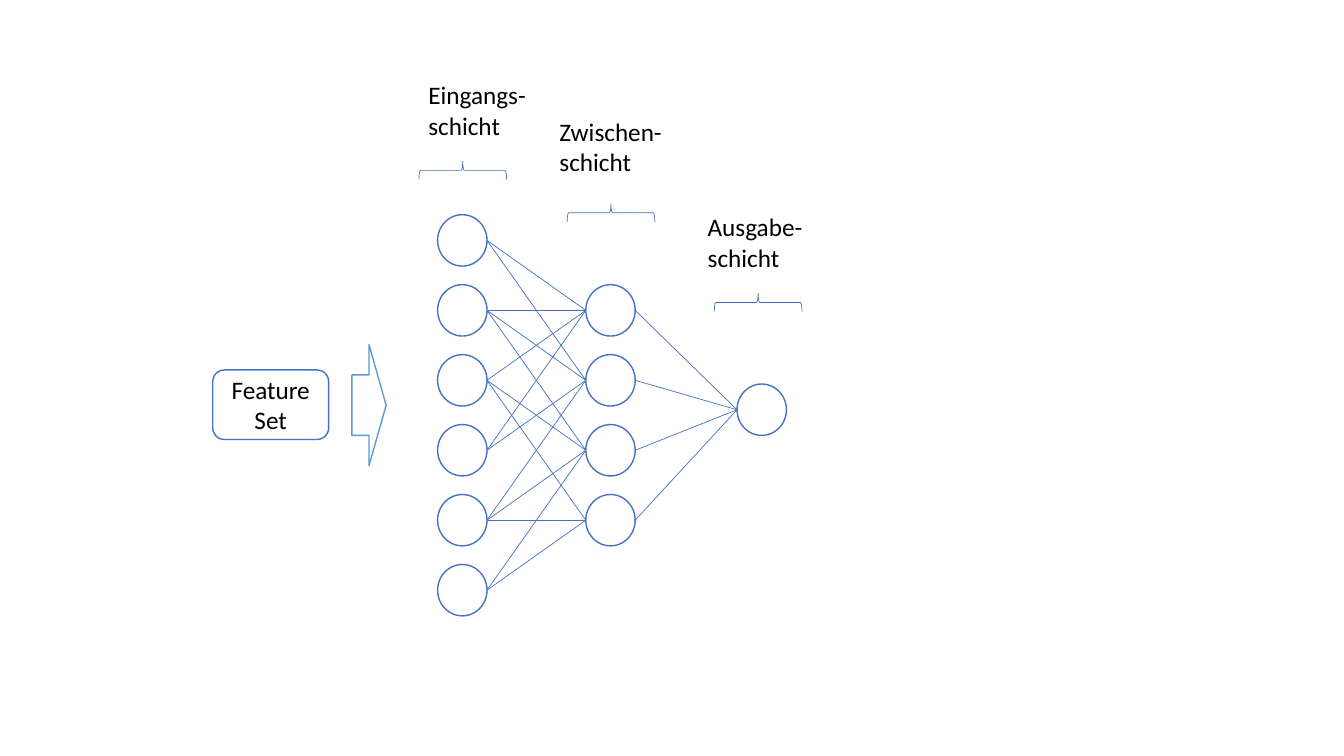
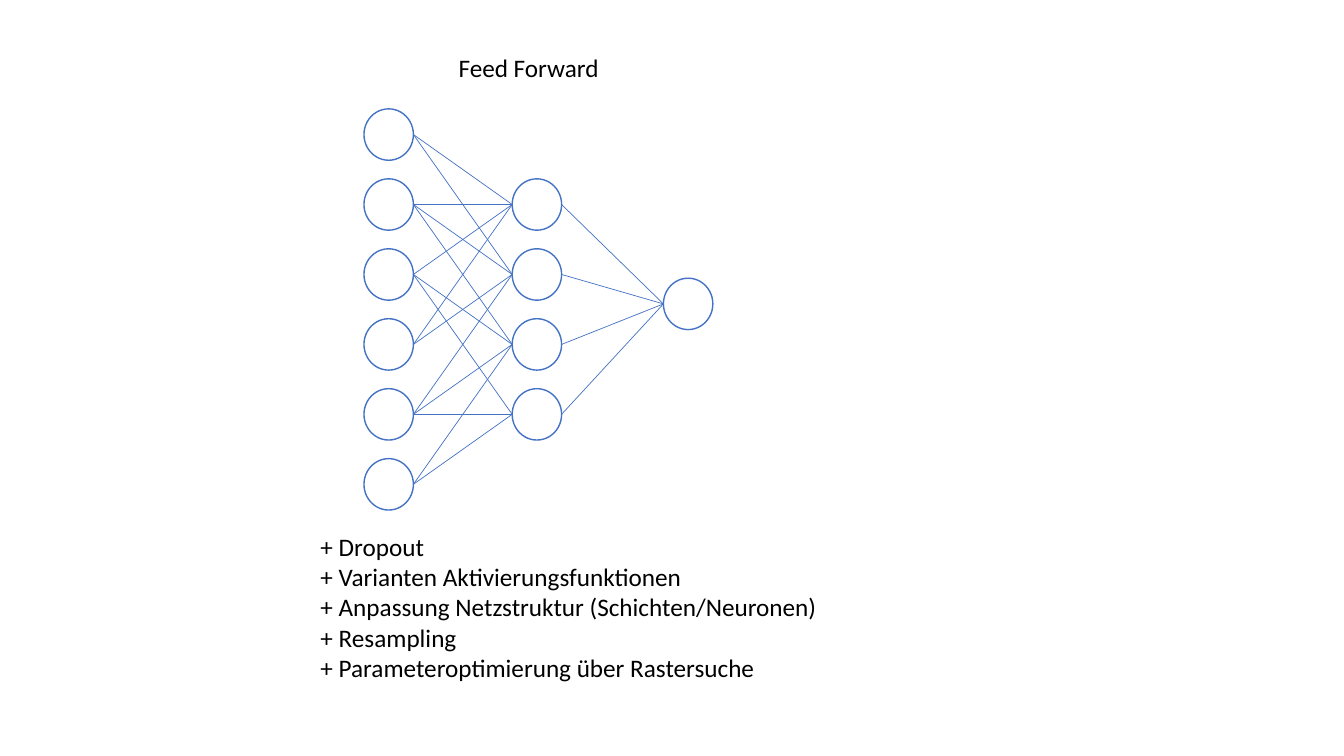
from lxml import etree
from pptx import Presentation
from pptx import util as u
from pptx.dml.color import RGBColor
from pptx.enum import shapes, text
from pptx.oxml.ns import qn

PX = 9144  # EMU per px, 100 px to the inch
BLUE = RGBColor(0x44, 0x72, 0xC4)
LIGHT_BLUE = RGBColor(0x5B, 0x9B, 0xD5)
WHITE = RGBColor(0xFF, 0xFF, 0xFF)
BLACK = RGBColor(0, 0, 0)
FONT, SIZE = "Calibri", 18

# Network geometry, relative to its top left corner
NODE_W, NODE_H = 49, 51
INPUTS, HIDDEN = 6, 4
INPUT_SPAN = 347  # from the first input node to the last
HIDDEN_X, OUTPUT_X, OUTPUT_Y = 147, 297, 168
# Hidden nodes that each input node feeds
INPUT_LINKS = ((0, 1), (0, 1, 2), (0, 2, 3), (0, 1), (1, 2, 3), (2, 3))

# Layer captions: box, lines, centre and top of the brace below
LAYERS = (
    ((415, 74, 138, 71), ("Eingangs-", "schicht"), 459, 160),
    ((545, 110, 138, 71), ("Zwischen-schicht",), 606, 202),
    ((692, 205, 128, 71), ("Ausgabe-schicht",), 752, 291),
)
BRACE_W, BRACE_H = 87, 18

EXTENSIONS = (
    "+ Dropout",
    "+ Varianten Aktivierungsfunktionen",
    "+ Anpassung Netzstruktur (Schichten/Neuronen)",
    "+ Resampling",
    "+ Parameteroptimierung über Rastersuche",
)


def emu(*lengths):
    return [u.Emu(round(v * PX)) for v in lengths]


def write(sp, *lines, align=text.PP_ALIGN.LEFT, anchor=text.MSO_ANCHOR.TOP):
    tf = sp.text_frame
    tf.word_wrap = True
    tf.vertical_anchor = anchor
    for i, line in enumerate(lines):
        p = tf.paragraphs[0] if i == 0 else tf.add_paragraph()
        p.alignment = align
        r = p.add_run()
        r.text = line
        r.font.name, r.font.size = FONT, u.Pt(SIZE)
        r.font.color.rgb = BLACK


def add_text(s, box, *lines):
    sp = s.shapes.add_textbox(*emu(*box))
    write(sp, *lines)
    sp.text_frame.auto_size = text.MSO_AUTO_SIZE.SHAPE_TO_FIT_TEXT


def add_outline(s, kind, box, line=BLUE, width=1, fill=None):
    sp = s.shapes.add_shape(kind, *emu(*box))
    sp.shadow.inherit = False
    if fill is None:
        sp.fill.background()
    else:
        sp.fill.solid()
        sp.fill.fore_color.rgb = fill
    sp.line.color.rgb = line
    sp.line.width = u.Pt(width)
    return sp


def add_link(s, start, end):
    """Line from the right side of one node to the left side of another."""
    (x1, y1), (x2, y2) = start, end
    mid = NODE_H / 2
    cxn = s.shapes.add_connector(
        shapes.MSO_CONNECTOR.STRAIGHT, *emu(x1 + NODE_W, y1 + mid, x2, y2 + mid))
    cxn.line.color.rgb = BLUE
    cxn.line.width = u.Pt(0.5)
    etree.SubElement(cxn.element.spPr, qn("a:effectLst"))


def add_brace(s, center, top):
    """Brace pointing up, made by turning a right brace."""
    middle = top + BRACE_H / 2
    box = (center - BRACE_H / 2, middle - BRACE_W / 2, BRACE_H, BRACE_W)
    sp = add_outline(s, shapes.MSO_SHAPE.RIGHT_BRACE, box, width=0.5)
    sp.rotation = 270


def add_network(s, left, top):
    rows = [top + INPUT_SPAN * i / (INPUTS - 1) for i in range(INPUTS)]
    inputs = [(left, y) for y in rows]
    hidden = [(left + HIDDEN_X, y) for y in rows[1:1 + HIDDEN]]
    output = (left + OUTPUT_X, top + OUTPUT_Y)
    for x, y in inputs + hidden + [output]:
        add_outline(s, shapes.MSO_SHAPE.OVAL, (x, y, NODE_W, NODE_H))
    for node, targets in zip(inputs, INPUT_LINKS):
        for j in targets:
            add_link(s, node, hidden[j])
    for node in hidden:
        add_link(s, node, output)


def layers_slide(s):
    add_network(s, 434, 213)
    for box, lines, center, top in LAYERS:
        add_brace(s, center, top)
        add_text(s, box, *lines)
    # Feature set feeding the input layer
    sp = add_outline(s, shapes.MSO_SHAPE.ROUNDED_RECTANGLE, (211, 367, 115, 69))
    write(sp, "Feature Set", align=text.PP_ALIGN.CENTER,
          anchor=text.MSO_ANCHOR.MIDDLE)
    add_outline(s, shapes.MSO_SHAPE.RIGHT_ARROW, (349, 342, 34, 120),
                line=LIGHT_BLUE, fill=WHITE)


def feed_forward_slide(s):
    add_network(s, 361, 108)
    add_text(s, (445, 47, 167, 40), "Feed Forward")
    add_text(s, (308, 522, 527, 162), *EXTENSIONS)


def main():
    prs = Presentation()
    prs.slide_width, prs.slide_height = emu(1333, 750)
    for build in (layers_slide, feed_forward_slide):
        build(prs.slides.add_slide(prs.slide_layouts[6]))
    prs.save("out.pptx")


if __name__ == "__main__":
    main()
